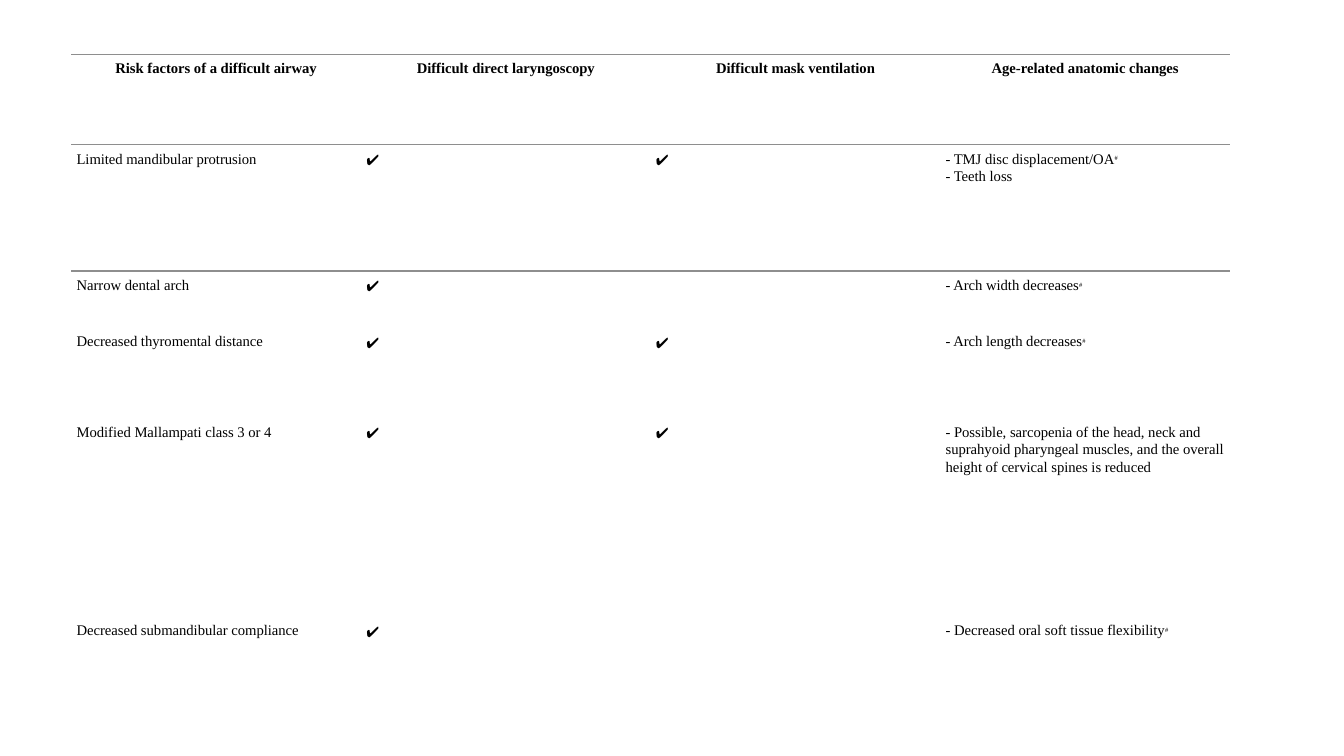
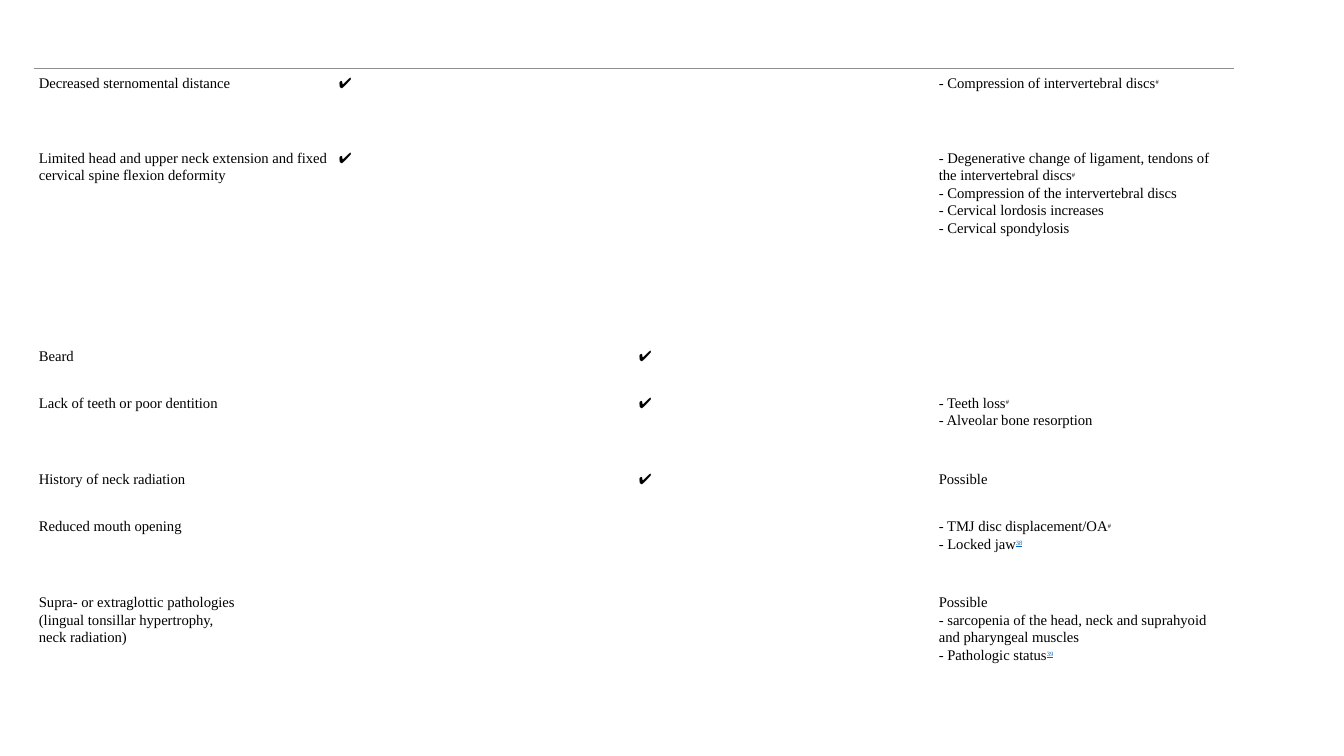
from lxml import etree
from pptx import Presentation
from pptx.dml.color import RGBColor as RGB
from pptx.enum.text import PP_ALIGN as Align
from pptx.oxml.ns import qn
from pptx.util import Cm, Pt

BLACK = RGB(0x00, 0x00, 0x00)
LINK = RGB(0x05, 0x63, 0xC1)
RULE = RGB(0x8E, 0x8E, 0x8E)
SERIF, SANS = "Times New Roman", "Lato"
NO_STYLE = "{2D5ABB26-0587-4C30-8999-92F81FD0307C}"
CHECK = "✔"

HEADER = ["Risk factors of a difficult airway", "Difficult direct laryngoscopy",
          "Difficult mask ventilation", "Age-related anatomic changes"]
AIRWAY_ROWS = [
    (3.18, ["Limited mandibular protrusion", CHECK, CHECK,
            "- TMJ disc displacement/OA^#^\n- Teeth loss"]),
    (1.42, ["Narrow dental arch", CHECK, "", "- Arch width decreases^#^"]),
    (2.28, ["Decreased thyromental distance", CHECK, CHECK, "- Arch length decreases^#^"]),
    (5.0, ["Modified Mallampati class 3 or 4", CHECK, CHECK,
           "- Possible, sarcopenia of the head, neck and suprahyoid pharyngeal muscles, "
           "and the overall height of cervical spines is reduced"]),
    (2.28, ["Decreased submandibular compliance", CHECK, "",
            "- Decreased oral soft tissue flexibility^#^"]),
]
NECK_ROWS = [
    (1.9, ["Decreased sternomental distance", CHECK, "",
           "- Compression of intervertebral discs^#^"]),
    (4.98, ["Limited head and upper neck extension and fixed cervical spine flexion deformity",
            CHECK, "",
            "- Degenerative change of ligament, tendons of the intervertebral discs^#^\n"
            "- Compression of the intervertebral discs\n"
            "- Cervical lordosis increases\n- Cervical spondylosis"]),
    (1.19, ["Beard", "", CHECK, ""]),
    (1.92, ["Lack of teeth or poor dentition", "", CHECK,
            "- Teeth loss^#^\n- Alveolar bone resorption"]),
    (1.19, ["History of neck radiation", "", CHECK, "Possible"]),
    (1.92, ["Reduced mouth opening", "", "",
            "- TMJ disc displacement/OA^#^\n- Locked jaw^38^"]),
    (3.42, ["Supra- or extraglottic pathologies\n(lingual tonsillar hypertrophy,\nneck radiation)",
            "", "",
            "Possible\n- sarcopenia of the head, neck and suprahyoid and pharyngeal muscles\n"
            "- Pathologic status^39^"]),
]


class Deck:
    """Hold the shared table style and the current slide."""

    text = {"name": SERIF, "size": Pt(10.5), "bold": False}
    raised = {"size": Pt(8)}
    inset = {f"margin_{side}": Cm(0.13) for side in ("left", "top", "right", "bottom")}

    def __init__(self):
        self.prs = Presentation()
        self.prs.slide_width, self.prs.slide_height = Cm(33.87), Cm(19.05)

    def slide(self):
        self.s = self.prs.slides.add_slide(self.prs.slide_layouts[6])

    def run(self, p, text, raised, fmt):
        r = p.add_run()
        r.text = text
        for key, value in {**self.text, **fmt, **(self.raised if raised else {})}.items():
            setattr(r.font, key, value)
        is_link = raised and text.isdigit()
        r.font.color.rgb = LINK if is_link else BLACK
        if is_link:
            r.font.underline = True
        if raised:
            r._r.get_or_add_rPr().set("baseline", "30000")

    def border(self, cell, tags):
        tcPr = cell._tc.get_or_add_tcPr()
        for i, tag in enumerate(tags):
            ln = etree.Element(qn(f"a:{tag}"), w=str(Pt(1)))
            fill = etree.SubElement(ln, qn("a:solidFill"))
            etree.SubElement(fill, qn("a:srgbClr"), val=str(RULE))
            tcPr.insert(i, ln)

    def cell(self, cell, text, align, fmt):
        for key, value in self.inset.items():
            setattr(cell, key, value)
        cell.fill.background()
        tf = cell.text_frame
        for i, line in enumerate(text.split("\n")):
            p = tf.add_paragraph() if i else tf.paragraphs[0]
            p.alignment, p.line_spacing = align, 1.07
            for j, part in enumerate(line.split("^")):
                if part:
                    self.run(p, part, j % 2 == 1, fmt)

    def table(self, left, top, col_width, rows, check_font, header=False):
        n_cols = len(rows[0][1])
        height = sum(h for h, _ in rows)
        table = self.s.shapes.add_table(len(rows), n_cols, Cm(left), Cm(top),
                                        Cm(col_width * n_cols), Cm(height)).table
        table.first_row, table.horz_banding = header, False
        table._tbl.tblPr[0].text = NO_STYLE
        for col in table.columns:
            col.width = Cm(col_width)
        for i, (row_height, texts) in enumerate(rows):
            table.rows[i].height = Cm(row_height)
            is_header = header and i == 0
            for j, text in enumerate(texts):
                cell = table.cell(i, j)
                fmt = {"bold": is_header, "name": check_font if text == CHECK else SERIF}
                self.cell(cell, text, Align.CENTER if is_header else Align.LEFT, fmt)
                if is_header:
                    self.border(cell, ["lnT", "lnB"])
                elif i == int(header):
                    self.border(cell, ["lnT"])


def main():
    deck = Deck()
    deck.slide()
    deck.table(1.8, 1.37, 7.3, [(2.28, HEADER)] + AIRWAY_ROWS, SANS, header=True)
    deck.slide()
    deck.table(0.85, 1.73, 7.56, NECK_ROWS, SERIF)
    deck.prs.save("out.pptx")


if __name__ == "__main__":
    main()
